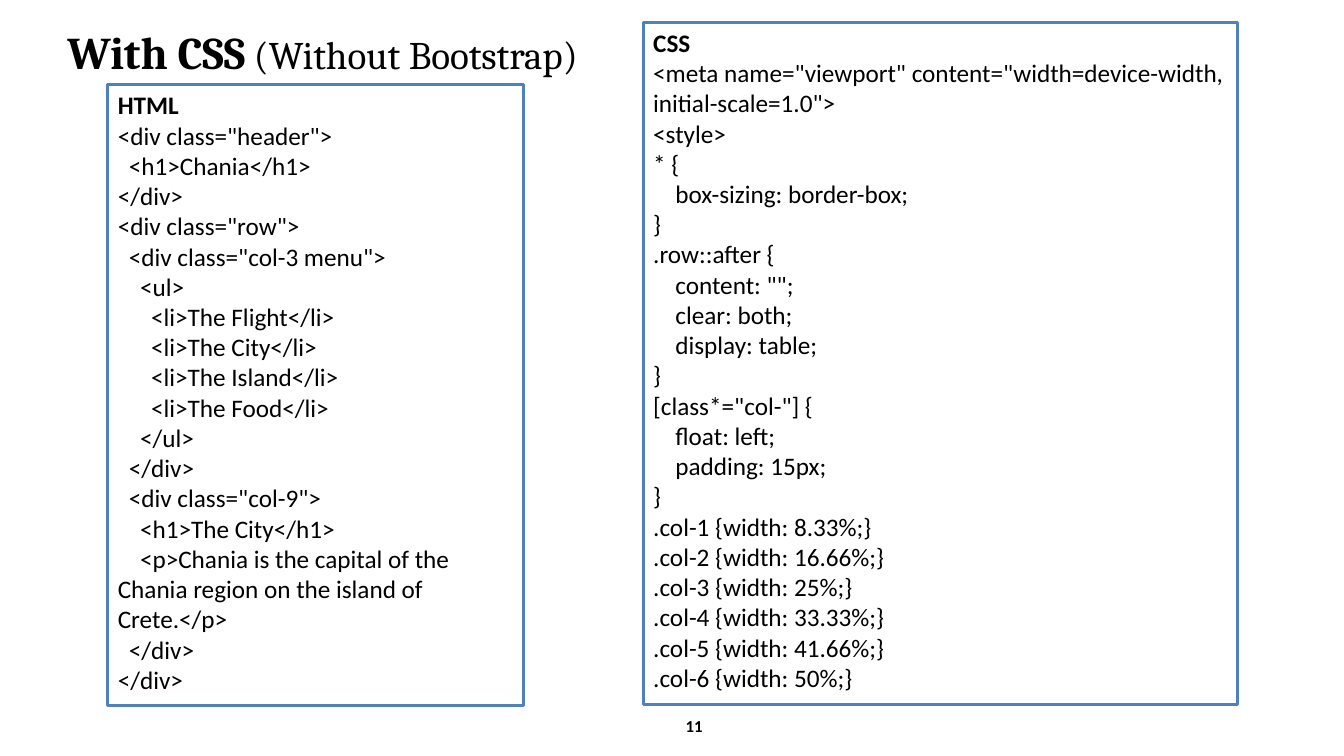
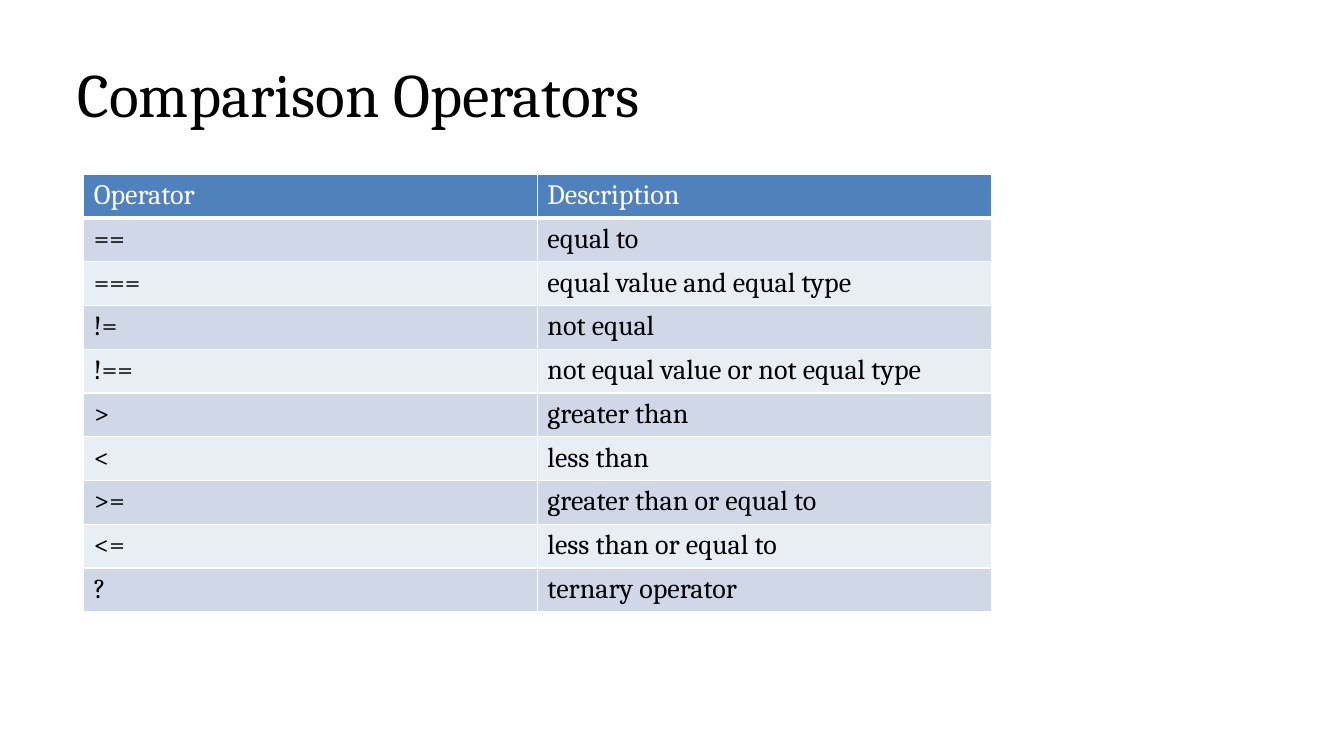
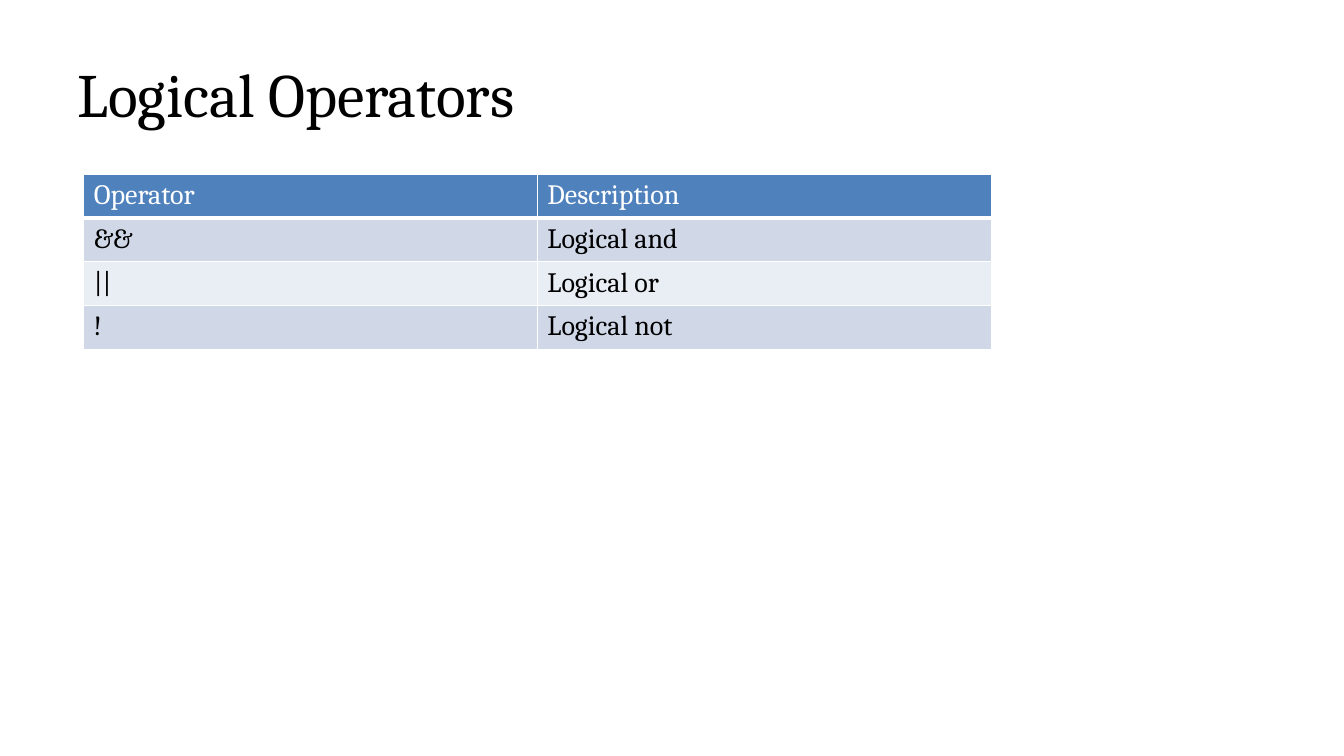
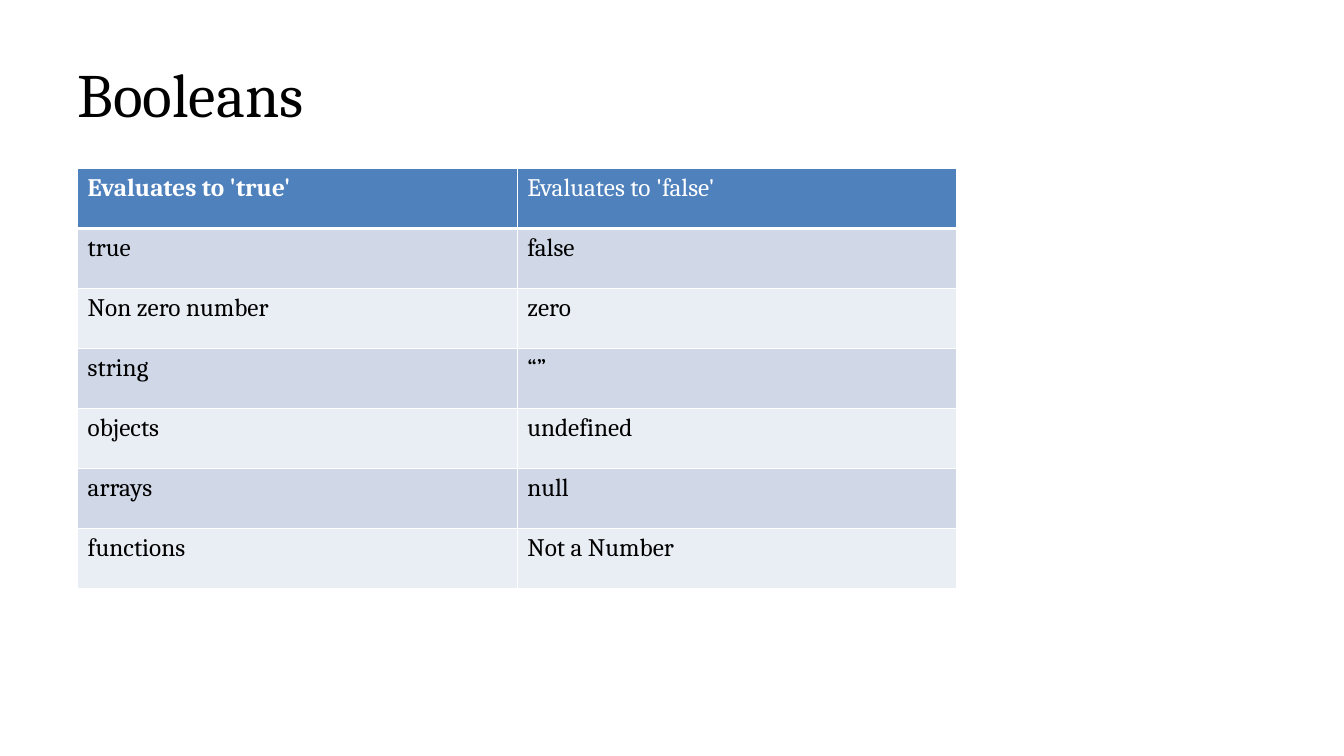
from lxml import etree
from pptx import Presentation
from pptx.dml.color import RGBColor
from pptx.enum.shapes import MSO_SHAPE
from pptx.enum.text import MSO_ANCHOR, MSO_AUTO_SIZE, PP_ALIGN
from pptx.oxml.ns import qn
from pptx.util import Inches, Pt

RECTANGLE = MSO_SHAPE.RECTANGLE
TOP, MIDDLE = MSO_ANCHOR.TOP, MSO_ANCHOR.MIDDLE
GROW = MSO_AUTO_SIZE.SHAPE_TO_FIT_TEXT
LEFT, CENTER = PP_ALIGN.LEFT, PP_ALIGN.CENTER

BLACK, WHITE, BLUE = "000000", "FFFFFF", "4F81BD"
BANDS = ("D0D8E8", "E9EDF4")
SERIF, SANS = "Cambria", "Calibri"
BLANK_LAYOUT = 6
CODE_INDENT = 0.11
GRID_LINE, HEADER_LINE = 1, 3

TITLE_BOX = (0.67, 0.3, 12, 1.25)
OPERATOR_HEADER = ("Operator", "Description")

HTML_LINES = [
    (0, '<div class="header">'),
    (1, "<h1>Chania</h1>"),
    (0, "</div>"),
    (0, '<div class="row">'),
    (1, '<div class="col-3 menu">'),
    (2, "<ul>"),
    (3, "<li>The Flight</li>"),
    (3, "<li>The City</li>"),
    (3, "<li>The Island</li>"),
    (3, "<li>The Food</li>"),
    (2, "</ul>"),
    (1, "</div>"),
    (1, '<div class="col-9">'),
    (2, "<h1>The City</h1>"),
    (2, "<p>Chania is the capital of the"),
    (0, "Chania region on the island of Crete.</p>"),
    (1, "</div>"),
    (0, "</div>"),
]

CSS_LINES = [
    (0, '<meta name="viewport" content="width=device-width, initial-scale=1.0">'),
    (0, "<style>"),
    (0, "* {"),
    (2, "box-sizing: border-box;"),
    (0, "}"),
    (0, ".row::after {"),
    (2, 'content: "";'),
    (2, "clear: both;"),
    (2, "display: table;"),
    (0, "}"),
    (0, '[class*="col-"] {'),
    (2, "float: left;"),
    (2, "padding: 15px;"),
    (0, "}"),
    (0, ".col-1 {width: 8.33%;}"),
    (0, ".col-2 {width: 16.66%;}"),
    (0, ".col-3 {width: 25%;}"),
    (0, ".col-4 {width: 33.33%;}"),
    (0, ".col-5 {width: 41.66%;}"),
    (0, ".col-6 {width: 50%;}"),
]

COMPARISONS = [
    OPERATOR_HEADER,
    ("==", "equal to"),
    ("===", "equal value and equal type"),
    ("!=", "not equal"),
    ("!==", "not equal value or not equal type"),
    (">", "greater than"),
    ("<", "less than"),
    (">=", "greater than or equal to"),
    ("<=", "less than or equal to"),
    ("?", "ternary operator"),
]

LOGICALS = [
    OPERATOR_HEADER,
    ("&&", "Logical and"),
    ("||", "Logical or"),
    ("!", "Logical not"),
]

BOOLEANS = [
    ("Evaluates to 'true'", "Evaluates to 'false'"),
    ("true", "false"),
    ("Non zero number", "zero"),
    ("string", "“”"),
    ("objects", "undefined"),
    ("arrays", "null"),
    ("functions", "Not a Number"),
]


def rgb(code):
    """Return the colour for a hex string."""
    return RGBColor.from_string(code)


def inches(lengths):
    """Return a sequence of numbers as lengths."""
    return [Inches(length) for length in lengths]


def apply_format(target, values):
    """Set each named attribute on the target."""
    for name, value in values.items():
        setattr(target, name, value)


def add_run(paragraph, text, size, face, color=BLACK, bold=False):
    """Append one formatted run to a paragraph."""
    run = paragraph.add_run()
    run.text = text
    apply_format(run.font, {"size": Pt(size), "name": face, "bold": bold})
    run.font.color.rgb = rgb(color)


def add_line_of_text(slide, box, runs, align=LEFT):
    """Add a vertically centred single paragraph of (text, size, face, bold) runs."""
    frame = slide.shapes.add_textbox(*inches(box)).text_frame
    apply_format(frame, {"word_wrap": True, "vertical_anchor": MIDDLE})
    paragraph = frame.paragraphs[0]
    paragraph.alignment = align
    for text, size, face, bold in runs:
        add_run(paragraph, text, size, face, bold=bold)


def add_code_panel(slide, box, language, lines):
    """Add an outlined panel with a bold language name and indented code."""
    panel = slide.shapes.add_shape(RECTANGLE, *inches(box))
    panel.shadow.inherit = False
    panel.fill.solid()
    panel.fill.fore_color.rgb = rgb(WHITE)
    panel.line.color.rgb = rgb(BLUE)
    panel.line.width = Pt(2)
    frame = panel.text_frame
    apply_format(frame, {"word_wrap": True, "vertical_anchor": TOP, "auto_size": GROW})
    heading = frame.paragraphs[0]
    heading.alignment = LEFT
    add_run(heading, language, 18, SANS, bold=True)
    for depth, code in lines:
        paragraph = frame.add_paragraph()
        paragraph.alignment = LEFT
        properties = paragraph._p.get_or_add_pPr()
        properties.set("marL", str(Inches(depth * CODE_INDENT)))
        properties.set("indent", "0")
        add_run(paragraph, code, 18, SANS)


def set_borders(cell, top, bottom):
    """Draw white cell borders with the given top and bottom widths."""
    properties = cell._tc.get_or_add_tcPr()
    widths = {"a:lnL": GRID_LINE, "a:lnR": GRID_LINE, "a:lnT": top, "a:lnB": bottom}
    for tag, width in widths.items():
        border = etree.SubElement(properties, qn(tag), w=str(Pt(width)))
        fill = etree.SubElement(border, qn("a:solidFill"))
        etree.SubElement(fill, qn("a:srgbClr"), val=WHITE)


def add_banded_table(slide, box, rows, size, bold_header=()):
    """Add an evenly divided table with a blue header and banded rows."""
    table = slide.shapes.add_table(len(rows), len(rows[0]), *inches(box)).table
    for row, texts in enumerate(rows):
        is_header = row == 0
        top = HEADER_LINE if row == 1 else GRID_LINE
        bottom = HEADER_LINE if is_header else GRID_LINE
        for column, text in enumerate(texts):
            cell = table.cell(row, column)
            set_borders(cell, top, bottom)
            cell.fill.solid()
            cell.fill.fore_color.rgb = rgb(BLUE if is_header else BANDS[(row - 1) % 2])
            add_run(cell.text_frame.paragraphs[0], text, size, SERIF,
                    WHITE if is_header else BLACK, is_header and column in bold_header)


def build_code_slide(slide):
    """Fill the slide comparing HTML and CSS code."""
    add_code_panel(slide, (1.07, 0.84, 4.12, 6.16), "HTML", HTML_LINES)
    add_code_panel(slide, (6.38, 0.22, 5.89, 6.77), "CSS", CSS_LINES)
    add_line_of_text(slide, (5.33, 7, 3.11, 0.4), [("11", 12, SANS, True)], CENTER)
    add_line_of_text(slide, (0.57, 0.17, 5.68, 0.67),
                     [("With CSS", 32.4, SERIF, True),
                      (" (Without Bootstrap)", 27.9, SERIF, False)])


def build_table_slide(slide, title, box, rows, size, bold_header=()):
    """Fill a slide with a title and a banded table."""
    add_line_of_text(slide, TITLE_BOX, [(title, 44, SERIF, False)])
    add_banded_table(slide, box, rows, size, bold_header)


def main():
    """Build and save the presentation."""
    deck = Presentation()
    apply_format(deck, {"slide_width": Inches(13.33), "slide_height": Inches(7.5)})
    layout = deck.slide_layouts[BLANK_LAYOUT]
    build_code_slide(deck.slides.add_slide(layout))
    table_slides = [
        ("Comparison Operators", (0.83, 1.73, 9, 4.2), COMPARISONS, 20),
        ("Logical Operators", (0.83, 1.73, 9, 1.68), LOGICALS, 20),
        ("Booleans", (0.77, 1.67, 8.72, 4.17), BOOLEANS, 18, (0,)),
    ]
    for content in table_slides:
        build_table_slide(deck.slides.add_slide(layout), *content)
    deck.save("out.pptx")


main()
